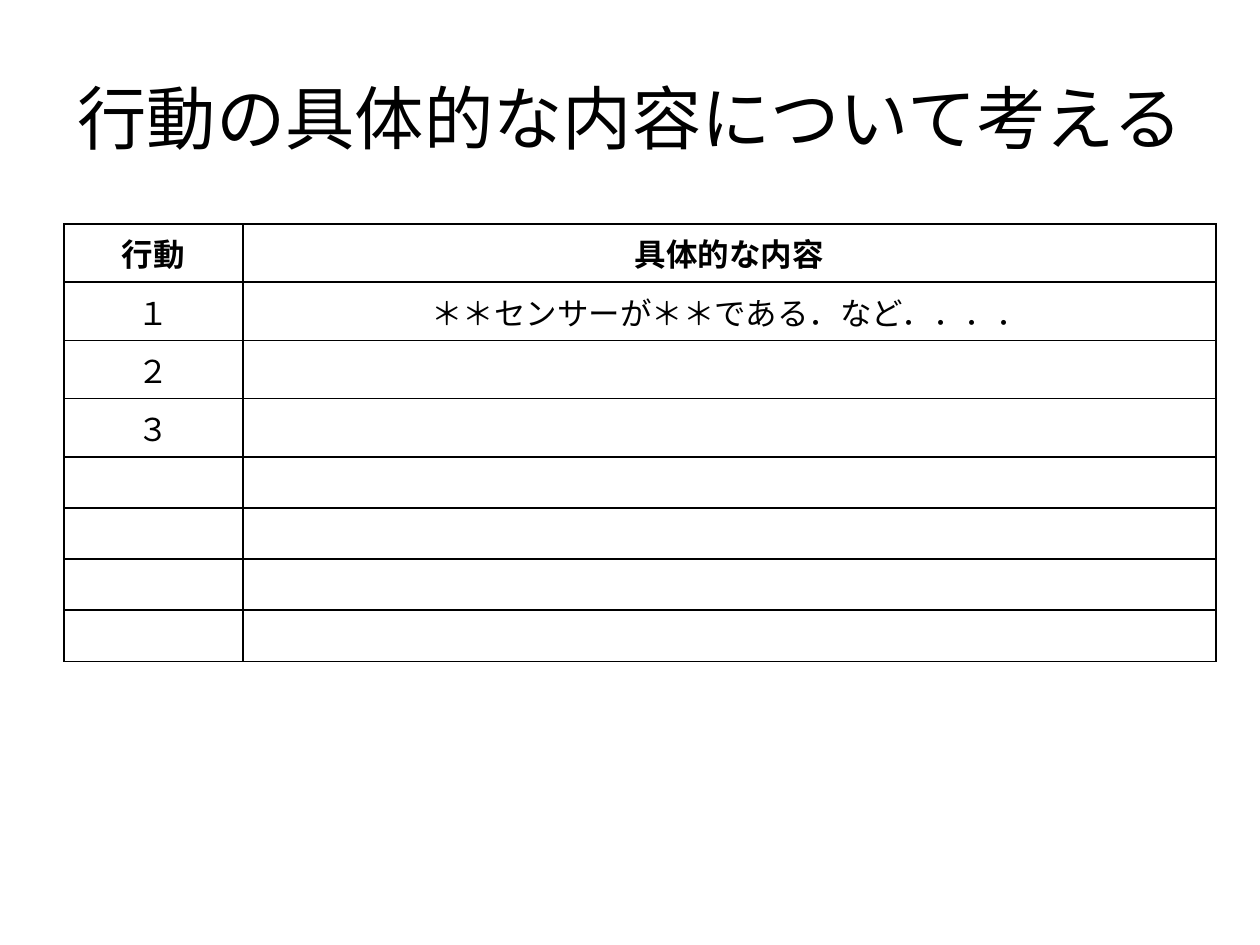
"""Builds a slide with a table for planning the details of each action."""
from lxml import etree
from pptx import Presentation, util as u
from pptx.dml.color import RGBColor
from pptx.enum import text
from pptx.oxml.ns import qn

PX = 914400 // 126
INK = "000000"


def color(hex_text):
    return RGBColor.from_string(hex_text)


def style(paragraph, size, bold=False):
    paragraph.alignment = text.PP_ALIGN.CENTER
    paragraph.font.name = "Calibri"
    paragraph.font.size = u.Pt(size)
    paragraph.font.bold = bold
    paragraph.font.color.rgb = color(INK)


deck = Presentation()
deck.slide_width, deck.slide_height = 1260 * PX, 945 * PX
slide = deck.slides.add_slide(deck.slide_layouts[5])

heading = slide.shapes.title
heading.left, heading.top, heading.width, heading.height = 63 * PX, 38 * PX, 1134 * PX, 157 * PX
heading.text_frame.text = "行動の具体的な内容について考える"
heading.text_frame.margin_left = heading.text_frame.margin_right = 0
heading.text_frame.vertical_anchor = text.MSO_ANCHOR.MIDDLE
style(heading.text_frame.paragraphs[0], 39.6)

stars, stop = "\uff0a" * 2, "\uff0e"
entries = [
    ("行動", "具体的な内容"),
    ("\uff11", f"{stars}センサーが{stars}である{stop}など{stop * 4}"),
    ("\uff12", ""),
    ("\uff13", ""),
] + [("", "")] * 4

actions = slide.shapes.add_table(
    len(entries), 2, 64 * PX, 224 * PX, 1152 * PX, 408 * PX).table
actions.first_row = actions.horz_banding = False
actions.columns[0].width, actions.columns[1].width = 179 * PX, 973 * PX

for row, entry in enumerate(entries):
    actions.rows[row].height = 51 * PX
    for column, wording in enumerate(entry):
        cell = actions.cell(row, column)
        cell.text = wording
        style(cell.text_frame.paragraphs[0], 18, bold=row == 0)
        borders = cell._tc.get_or_add_tcPr()
        for side in ("a:lnL", "a:lnR", "a:lnT", "a:lnB"):
            line = etree.SubElement(borders, qn(side), w=str(u.Pt(1)))
            fill = etree.SubElement(line, qn("a:solidFill"))
            etree.SubElement(fill, qn("a:srgbClr"), val=INK)
        cell.fill.background()

deck.save("out.pptx")
